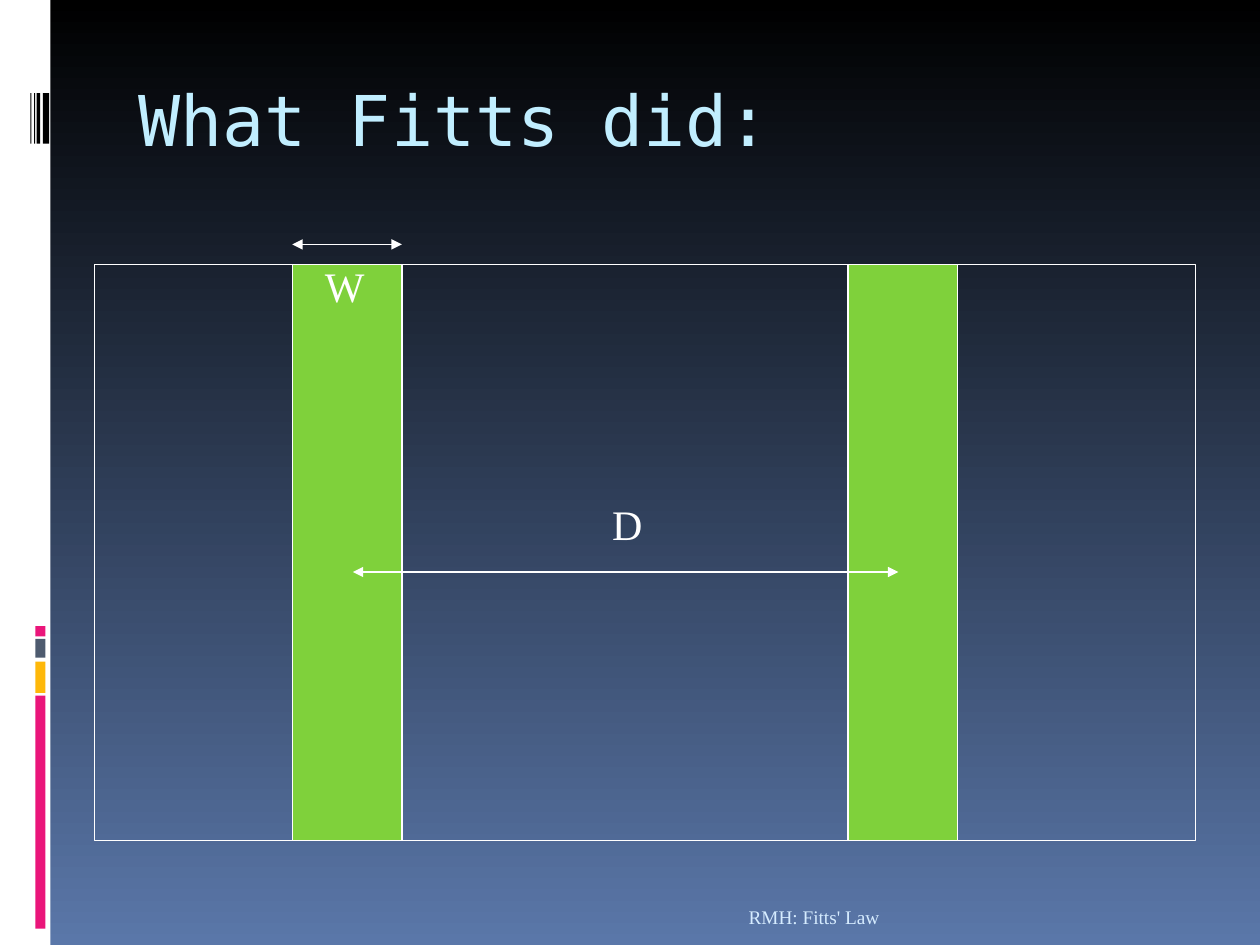
from lxml import etree
from pptx import Presentation
from pptx.dml.color import RGBColor
from pptx.enum.shapes import MSO_CONNECTOR, MSO_SHAPE
from pptx.enum.text import MSO_ANCHOR as Anchor, MSO_AUTO_SIZE as AutoSize, PP_ALIGN as Align
from pptx.oxml.ns import qn
from pptx.util import Inches, Pt

COLORS = {
    "black": "000000", "white": "FFFFFF", "dusk": "5A77A9", "pink": "EA157A",
    "amber": "FEB80A", "slate": "4E5B6F", "green": "7FD13B",
    "title": "C1EEFF", "footer": "D6ECFF",
}
SERIF, MONO = "Times New Roman", "DejaVu Sans Mono"


def rgb(name):
    return RGBColor.from_string(COLORS[name])


class Deck:
    """Holds the style and the current slide."""

    def __init__(self):
        self.prs = Presentation()
        self.prs.slide_width, self.prs.slide_height = Inches(10), Inches(7.5)
        self.s = self.prs.slides.add_slide(self.prs.slide_layouts[6])

    def background(self, top, bottom):
        fill = self.s.background.fill
        fill.gradient()
        fill.gradient_angle = 270
        for stop, color, pos in zip(fill.gradient_stops, (top, bottom), (0, 1)):
            stop.color.rgb = rgb(color)
            stop.position = pos

    def rect(self, x, y, w, h, fill=None, line=None):
        sp = self.s.shapes.add_shape(
            MSO_SHAPE.RECTANGLE, Inches(x), Inches(y), Inches(w), Inches(h))
        sp.shadow.inherit = False
        if fill:
            sp.fill.solid()
            sp.fill.fore_color.rgb = rgb(fill)
        else:
            sp.fill.background()
        if line:
            sp.line.color.rgb = rgb(line)
            sp.line.width = Pt(0.75)
        else:
            sp.line.fill.background()

    def double_arrow(self, x1, x2, y, width):
        cx = self.s.shapes.add_connector(
            MSO_CONNECTOR.STRAIGHT, Inches(x1), Inches(y), Inches(x2), Inches(y))
        cx.line.color.rgb = rgb("white")
        cx.line.width = Pt(width)
        ln = cx.line._get_or_add_ln()
        for end in ("a:headEnd", "a:tailEnd"):
            etree.SubElement(ln, qn(end), type="triangle")
        etree.SubElement(ln.getparent(), qn("a:effectLst"))

    def text(self, x, y, w, h, text, size, color="white", font=SERIF,
             align=Align.LEFT, anchor=Anchor.TOP, before=0, grow=False):
        tf = self.s.shapes.add_textbox(
            Inches(x), Inches(y), Inches(w), Inches(h)).text_frame
        tf.word_wrap = True
        tf.vertical_anchor = anchor
        if grow:
            tf.auto_size = AutoSize.SHAPE_TO_FIT_TEXT
        p = tf.paragraphs[0]
        p.text = text
        p.alignment = align
        p.space_before = Pt(before)
        p.font.size, p.font.name = Pt(size), font
        p.font.color.rgb = rgb(color)


def main():
    deck = Deck()
    deck.background("black", "dusk")

    # Side strip with its colour blocks and bars
    deck.rect(0, 0, 0.4, 7.5, "white")
    for y, h, color in ((5.52, 1.85, "pink"), (5.25, 0.25, "amber"),
                        (5.07, 0.15, "slate"), (4.97, 0.08, "pink")):
        deck.rect(0.28, y, 0.08, h, color)
    for x, w in ((0.34, 0.05), (0.29, 0.03), (0.27, 0.01), (0.24, 0.01)):
        deck.rect(x, 0.74, w, 0.4, "black")

    deck.text(1, 0.56, 8.5, 1, "What Fitts did:", 40, "title", MONO)
    deck.text(1, 7.02, 6.08, 0.4, "RMH: Fitts' Law", 11, "footer",
              align=Align.RIGHT, anchor=Anchor.BOTTOM)

    # Tapping board with two targets of width W, a distance D apart
    top, height = 2.1, 4.57
    left_target, right_target, target_w = 2.32, 6.73, 0.87
    deck.rect(0.75, top, 8.74, height, line="white")
    for x in (left_target, right_target):
        deck.rect(x, top, target_w, height, "green", "white")
    deck.double_arrow(2.8, 7.13, 4.54, 1)
    deck.double_arrow(left_target, left_target + target_w, 1.94, 0.75)
    deck.text(4.76, 3.91, 0.47, 0.5, "D", 24, before=15, grow=True)
    deck.text(2.48, 2.02, 0.55, 0.5, "W", 24, before=15, grow=True)

    deck.prs.save("out.pptx")


if __name__ == "__main__":
    main()
